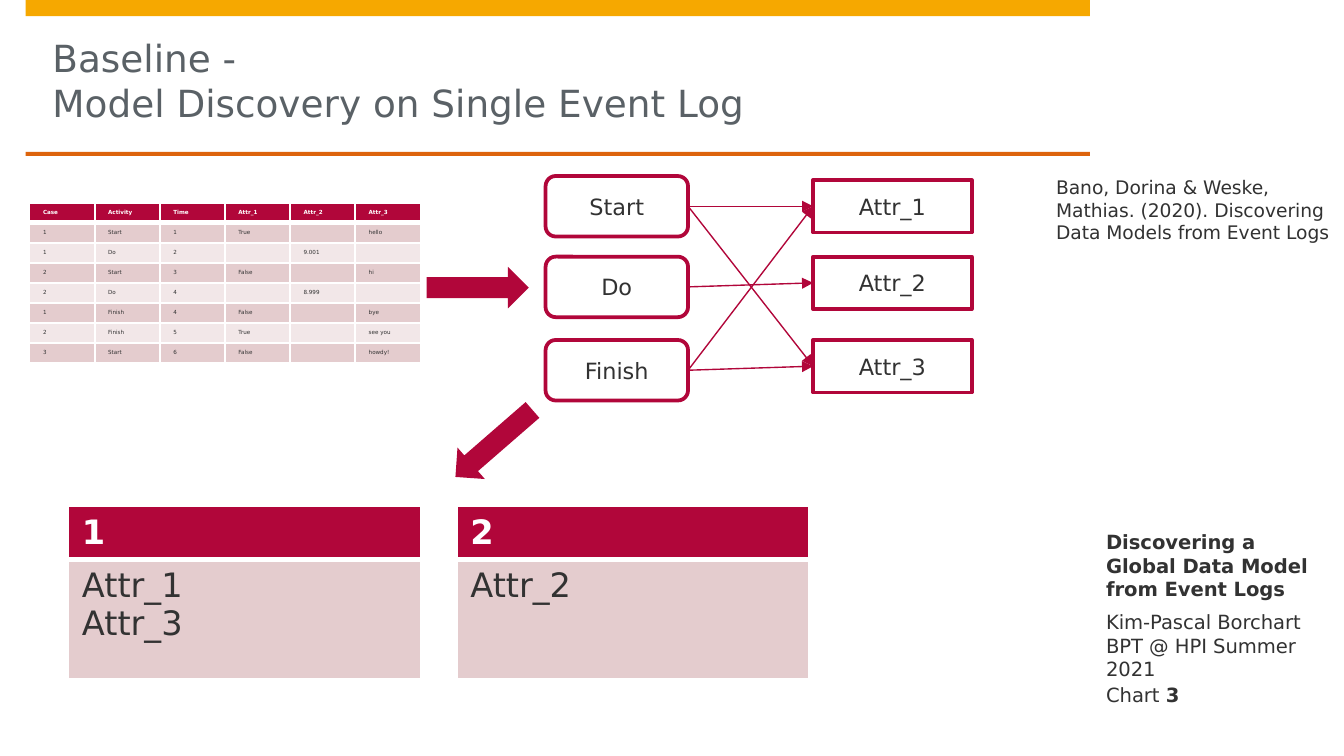
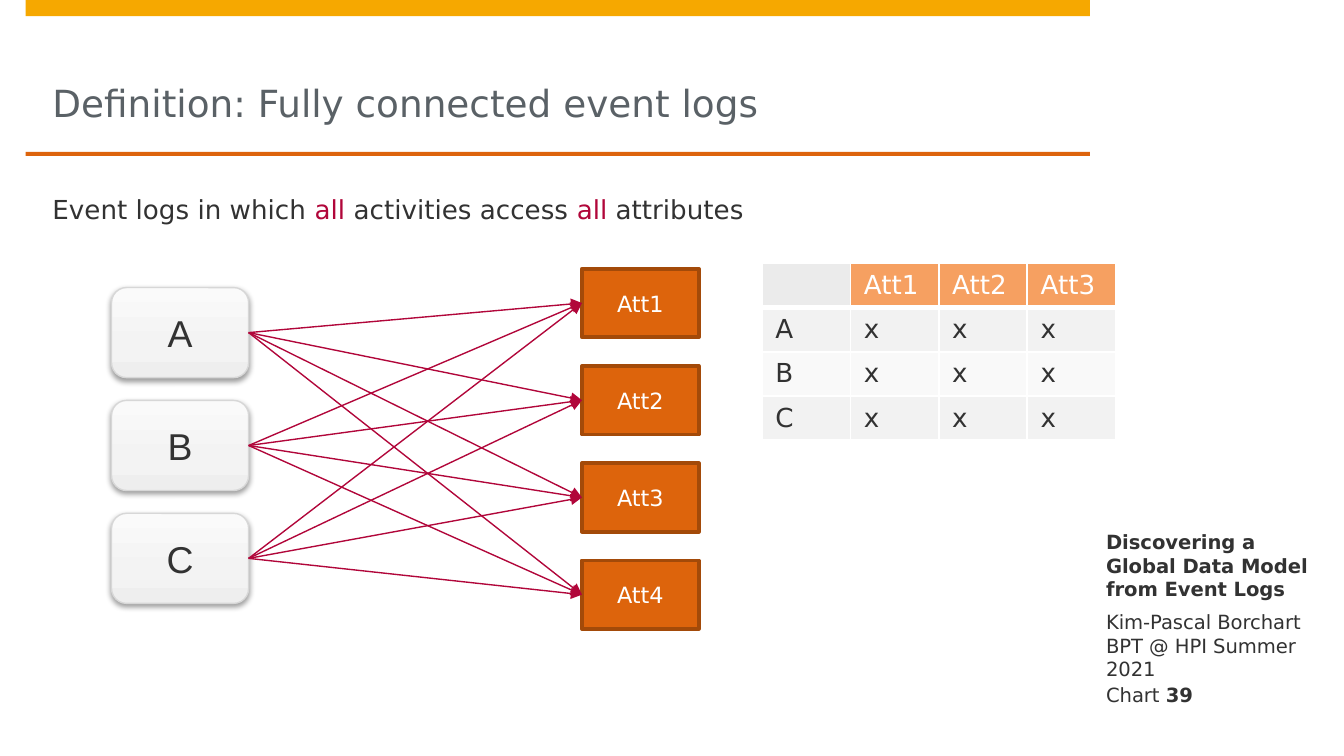
from copy import deepcopy
from itertools import product

from lxml.etree import SubElement
from pptx import Presentation
from pptx.dml.color import RGBColor
from pptx.enum.shapes import MSO_CONNECTOR as Connector, MSO_SHAPE as Shape
from pptx.enum.text import MSO_ANCHOR as Anchor, MSO_AUTO_SIZE as AutoSize, PP_ALIGN as Align
from pptx.oxml.ns import qn
from pptx.util import Inches, Pt

# Shared look
FONT = "DejaVu Sans"
INK, GREY, WHITE = "323232", "5A6166", "FFFFFF"
CRIMSON, ROSE, PALE_ROSE = "B1063A", "E4CCCE", "F2E7E8"
YELLOW, ORANGE, DARK_ORANGE, PEACH = "F6A800", "DD640C", "A34A09", "F6A061"
TITLE_ONLY, TITLE_AND_BODY = 5, 1


def rgb(hex_code):
    return RGBColor.from_string(hex_code)


def inches(box):
    return [Inches(length) for length in box]


def add_run(paragraph, text, size, color=INK, bold=False, font=FONT):
    run = paragraph.add_run()
    run.text = text
    run.font.name = font
    run.font.size = Pt(size)
    run.font.bold = bold
    run.font.color.rgb = rgb(color)


def set_frame(frame, insets, anchor=Anchor.TOP):
    frame.word_wrap = True
    frame.auto_size = AutoSize.NONE
    frame.vertical_anchor = anchor
    (frame.margin_left, frame.margin_top,
     frame.margin_right, frame.margin_bottom) = inches(insets)


def place(placeholder, box):
    (placeholder.left, placeholder.top,
     placeholder.width, placeholder.height) = inches(box)


def add_block(slide, kind, box, fill, line=None):
    block = slide.shapes.add_shape(kind, *inches(box))
    block.shadow.inherit = False
    block.fill.solid()
    block.fill.fore_color.rgb = rgb(fill)
    if line:
        block.line.color.rgb = rgb(line)
        block.line.width = Pt(2)
    else:
        block.line.fill.background()
    return block


def add_node(slide, kind, box, label, fill, line, size=12, color=INK, font=FONT):
    node = add_block(slide, kind, box, fill, line)
    set_frame(node.text_frame, (0.12, 0.08, 0.12, 0.08), Anchor.MIDDLE)
    paragraph = node.text_frame.paragraphs[0]
    paragraph.alignment = Align.CENTER
    add_run(paragraph, label, size, color, font=font)
    return node


def add_access_arrow(slide, activity, attribute):
    """Arrow from an activity's right side to an attribute's left side."""
    arrow = slide.shapes.add_connector(Connector.STRAIGHT, 0, 0, 0, 0)
    arrow.begin_connect(activity, 3)
    arrow.end_connect(attribute, 1)
    arrow.line.color.rgb = rgb(CRIMSON)
    arrow.line.width = Pt(0.75)
    properties = arrow._element.spPr
    SubElement(properties.find(qn("a:ln")), qn("a:tailEnd"), type="triangle")
    SubElement(properties, qn("a:effectLst"))


# Tables
def set_borders(cell, bottom):
    properties = cell._tc.get_or_add_tcPr()
    for position, (side, width) in enumerate(
            (("lnL", 1), ("lnR", 1), ("lnT", 1), ("lnB", bottom))):
        border = SubElement(properties, qn(f"a:{side}"), w=str(Pt(width)))
        paint = SubElement(border, qn("a:solidFill"))
        SubElement(paint, qn("a:srgbClr"), val=WHITE)
        properties.insert(position, border)


def fill_cell(cell, text, size, fill, color, bold, is_header):
    cell.fill.solid()
    cell.fill.fore_color.rgb = rgb(fill)
    set_borders(cell, 3 if is_header else 1)
    frame = cell.text_frame
    for index, line in enumerate(text.split("\n")):
        paragraph = frame.add_paragraph() if index else frame.paragraphs[0]
        if line:
            add_run(paragraph, line, size, color, bold)
        else:
            end = SubElement(paragraph._p, qn("a:endParaRPr"), sz=str(size * 100))
            SubElement(end, qn("a:latin"), typeface=FONT)


def add_grid(slide, box, rows, size, header_fill, bands,
             corner_fill=None, bold_header=True, row_heights=None):
    left, top, width, height = box
    table = slide.shapes.add_table(len(rows), len(rows[0]), *inches(box)).table
    table.first_row = table.horz_banding = False
    for column in table.columns:
        column.width = Inches(width / len(rows[0]))
    heights = row_heights or [height / len(rows)] * len(rows)
    for r, (values, row_height) in enumerate(zip(rows, heights)):
        table.rows[r].height = Inches(row_height)
        for c, value in enumerate(values):
            if r:
                fill, color = bands[(r - 1) % len(bands)], INK
            else:
                fill, color = header_fill, WHITE
                if c == 0 and corner_fill:
                    fill = corner_fill
            fill_cell(table.cell(r, c), value, size, fill, color,
                      bold_header and r == 0, r == 0)


# Parts common to both slides
def add_bands(slide):
    add_block(slide, Shape.RECTANGLE, (0.19, 0, 7.92, 0.12), YELLOW)
    add_block(slide, Shape.RECTANGLE, (0.19, 1.13, 7.92, 0.03), ORANGE)


def add_title(slide, lines):
    title = slide.shapes.title
    place(title, (0.39, 0.12, 7.52, 1.01))
    set_frame(title.text_frame, (0, 0, 0, 0.2), Anchor.BOTTOM)
    paragraph = title.text_frame.paragraphs[0]
    paragraph.alignment = Align.LEFT
    for index, line in enumerate(lines):
        if index:
            paragraph.add_line_break()
        add_run(paragraph, line, 20, GREY)


def add_footer(slide, box, number):
    left, top, width, height = box
    parts = (
        (0, 0.57, Anchor.BOTTOM,
         [("Discovering a Global Data Model from Event Logs", True)]),
        (0.64, 0.51, Anchor.TOP,
         [("Kim-Pascal Borchart BPT @ HPI Summer 2021", False)]),
        (height - 0.2, 0.2, Anchor.BOTTOM,
         [("Chart ", False), (str(number), True)]),
    )
    for offset, part_height, anchor, runs in parts:
        note = slide.shapes.add_textbox(
            *inches((left, top + offset, width, part_height)))
        set_frame(note.text_frame, (0.12, 0, 0, 0), anchor)
        for text, bold in runs:
            add_run(note.text_frame.paragraphs[0], text, 10.5, bold=bold)


def new_slide(deck, layout, title_lines, number):
    slide = deck.slides.add_slide(deck.slide_layouts[layout])
    add_bands(slide)
    add_title(slide, title_lines)
    add_footer(slide, (8.11, 3.9, 1.69, 1.36), number)
    return slide


# Baseline slide
EVENT_LOG = [
    ["Case", "Activity", "Time", "Attr_1", "Attr_2", "Attr_3"],
    ["1", "Start", "1", "True", "", "hello"],
    ["1", "Do", "2", "", "9.001", ""],
    ["2", "Start", "3", "False", "", "hi"],
    ["2", "Do", "4", "", "8.999", ""],
    ["1", "Finish", "4", "False", "", "bye"],
    ["2", "Finish", "5", "True", "", "see you"],
    ["3", "Start", "6", "False", "", "howdy!"],
]
ACCESSES = [("Start", "Attr_1"), ("Start", "Attr_3"), ("Do", "Attr_2"),
            ("Finish", "Attr_3"), ("Finish", "Attr_1")]


def add_access_graph(slide, box):
    left, top, width, height = box
    nodes = {}
    for activity, offset in (("Start", 0), ("Do", 0.6), ("Finish", 1.22)):
        nodes[activity] = add_node(
            slide, Shape.ROUNDED_RECTANGLE,
            (left, top + offset, 1.06, 0.45), activity, WHITE, CRIMSON)
    for attribute, offset in (("Attr_1", 0.03), ("Attr_2", 0.6), ("Attr_3", 1.22)):
        nodes[attribute] = add_node(
            slide, Shape.RECTANGLE,
            (left + width - 1.18, top + offset, 1.18, 0.39),
            attribute, WHITE, CRIMSON)
    for activity, attribute in ACCESSES:
        add_access_arrow(slide, nodes[activity], nodes[attribute])


def add_classes(slide, box):
    left, top, width, height = box
    for index, attributes in enumerate(("Attr_1\nAttr_3", "Attr_2")):
        add_grid(slide, (left + index * 2.89, top, 2.62, height),
                 [[str(index + 1)], [attributes]], 18, CRIMSON, [ROSE],
                 row_heights=(0.39, height - 0.39))


def add_step_arrow(slide, left, top, angle):
    arrow = add_block(slide, Shape.DOWN_ARROW, (left, top, 0.31, 0.76), CRIMSON)
    arrow.rotation = angle


def add_citation(slide, box):
    citation = slide.shapes.add_textbox(*inches(box))
    set_frame(citation.text_frame, (0.1, 0.05, 0.1, 0.05))
    add_run(citation.text_frame.paragraphs[0],
            "Bano, Dorina & Weske, Mathias. (2020). "
            "Discovering Data Models from Event Logs", 10)


def build_baseline(deck):
    slide = new_slide(deck, TITLE_ONLY,
                      ["Baseline -", "Model Discovery on Single Event Log"], 3)
    add_grid(slide, (0.22, 1.51, 2.91, 1.19), EVENT_LOG, 3, CRIMSON,
             [ROSE, PALE_ROSE])
    add_classes(slide, (0.51, 3.77, 5.51, 1.28))
    add_access_graph(slide, (4.06, 1.31, 3.17, 1.67))
    add_step_arrow(slide, 3.4, 1.76, 270)
    add_step_arrow(slide, 3.52, 2.92, 49)
    add_citation(slide, (7.76, 1.26, 2.3, 0.61))


# Definition slide
def add_statement(slide, box):
    body = slide.placeholders[1]
    place(body, box)
    set_frame(body.text_frame, (0, 0.08, 0, 0))
    paragraph = body.text_frame.paragraphs[0]
    properties = paragraph._p.get_or_add_pPr()
    properties.set("marL", "0")
    properties.set("indent", "0")
    SubElement(properties, qn("a:buNone"))
    paragraph.space_before = Pt(0)
    paragraph.space_after = Pt(3)
    for text, color in (("Event logs in which ", INK), ("all", CRIMSON),
                        (" activities access ", INK), ("all", CRIMSON),
                        (" attributes", INK)):
        add_run(paragraph, text, 14, color)


def make_raised(node):
    """Give a node its soft grey gradient, thin line and drop shadow."""
    node.line.width = Pt(0.75)
    node.fill.gradient()
    node.fill.gradient_angle = 90
    properties = node._element.spPr
    stops = properties.find(qn("a:gradFill")).find(qn("a:gsLst"))
    stops.insert(1, deepcopy(stops[0]))
    shades = ((0, "EEEEEE"), (0.35, "F3F3F3"), (1, "FAFAFA"))
    for stop, (position, shade) in zip(node.fill.gradient_stops, shades):
        stop.position = position
        stop.color.rgb = rgb(shade)
    shadow = SubElement(properties.find(qn("a:effectLst")), qn("a:outerShdw"),
                        blurRad="40000", dist="20000", dir="5400000",
                        rotWithShape="0")
    tint = SubElement(shadow, qn("a:srgbClr"), val="000000")
    SubElement(tint, qn("a:alpha"), val="38000")


def add_full_graph(slide, box):
    left, top, width, height = box
    activities, attributes = [], []
    for index, label in enumerate("ABC"):
        activity = add_node(slide, Shape.ROUNDED_RECTANGLE,
                            (left, top + 0.14 + index * 0.84, 1.02, 0.67),
                            label, "F3F3F3", "D7D7D7", 20, font="Arial")
        make_raised(activity)
        activities.append(activity)
    for index in range(4):
        attributes.append(add_node(
            slide, Shape.RECTANGLE,
            (left + width - 0.87, top + index * (height - 0.51) / 3, 0.87, 0.51),
            f"Att{index + 1}", ORANGE, DARK_ORANGE, color=WHITE))
    for activity, attribute in product(activities, attributes):
        add_access_arrow(slide, activity, attribute)


def build_definition(deck):
    slide = new_slide(deck, TITLE_AND_BODY,
                      ["Definition: Fully connected event logs"], 39)
    add_statement(slide, (0.39, 1.36, 7.52, 3.9))
    add_full_graph(slide, (0.83, 2, 4.37, 2.68))
    matrix = [["", "Att1", "Att2", "Att3"]]
    matrix += [[activity, "x", "x", "x"] for activity in "ABC"]
    add_grid(slide, (5.67, 1.96, 2.63, 1.31), matrix, 14, PEACH,
             ["F2F2F2", "F9F9F9"], corner_fill="EBEBEB", bold_header=False)


def main():
    deck = Presentation()
    deck.slide_width = Inches(10)
    deck.slide_height = deck.slide_width * 9 // 16
    build_baseline(deck)
    build_definition(deck)
    deck.save("out.pptx")


if __name__ == "__main__":
    main()
